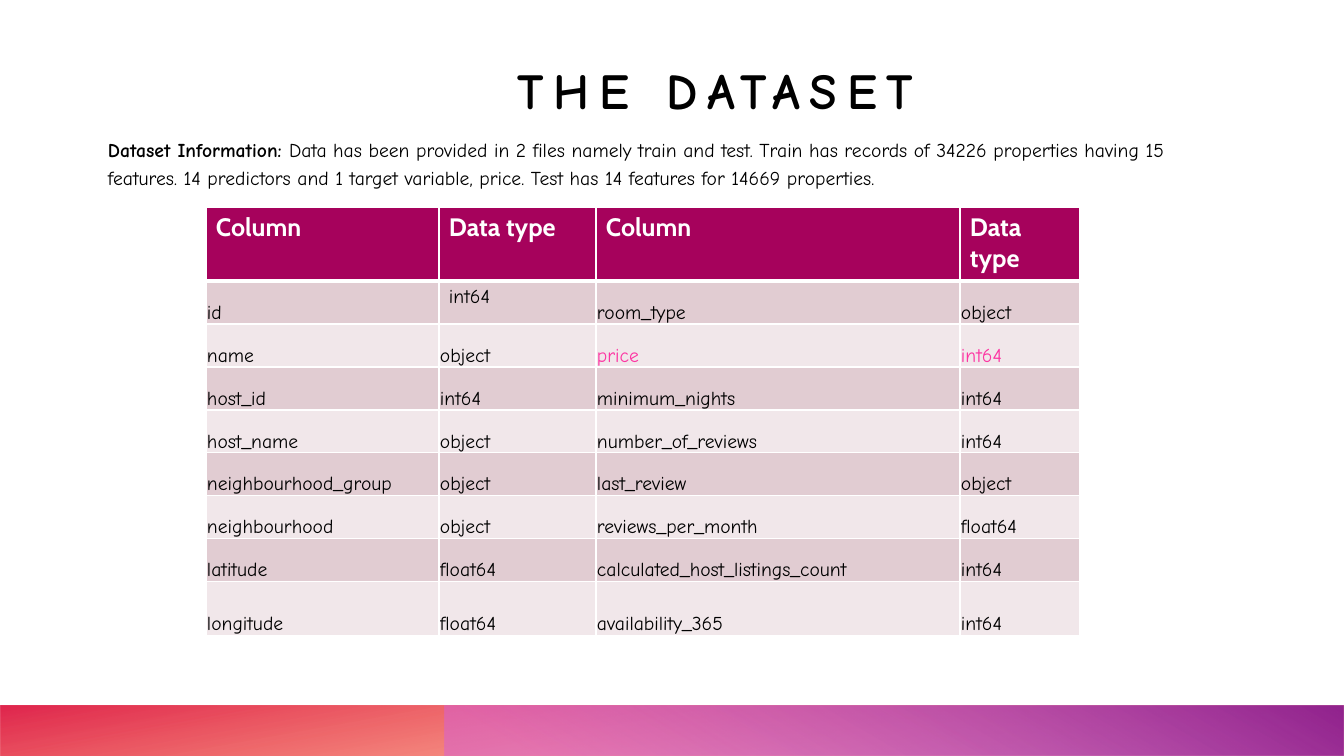
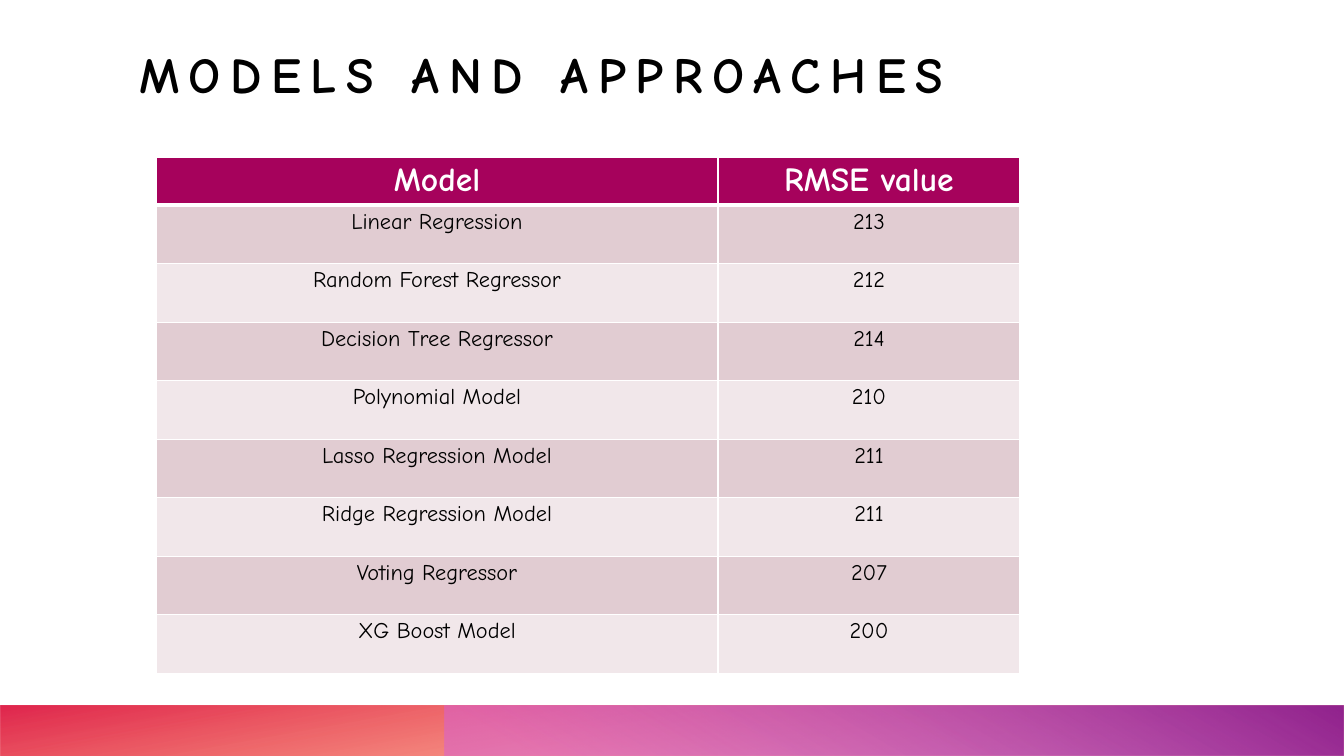
from lxml.etree import SubElement
from pptx import Presentation
from pptx.dml.color import RGBColor
from pptx.enum.shapes import MSO_SHAPE
from pptx.enum.text import MSO_ANCHOR, PP_ALIGN
from pptx.oxml.ns import qn
from pptx.util import Emu, Pt

PX = 914400 / 100.8
WIDTH, HEIGHT = 1344, 756
BAND_TOP, BAND_HEIGHT = 706, 50

BLACK, WHITE, MAGENTA = "000000", "FFFFFF", "A6025C"
STRIPES = ("E1CCD2", "F1E7EA")
HAND, SANS = "Comic Neue", "Cabin"


def px(length):
    return Emu(round(length * PX))


def rgb(color):
    return RGBColor.from_string(color)


def apply(target, values):
    for name, value in values.items():
        setattr(target, name, value)


def lettering(name, size, bold=False):
    return {"name": name, "size": Pt(size), "bold": bold}


def insets(left, top, right, bottom):
    return {
        "margin_left": px(left),
        "margin_top": px(top),
        "margin_right": px(right),
        "margin_bottom": px(bottom),
    }


def cell_style(font, color, margins, anchor=MSO_ANCHOR.TOP, align=PP_ALIGN.LEFT):
    return {
        "font": font,
        "color": color,
        "cell": {**margins, "vertical_anchor": anchor},
        "paragraph": {"alignment": align},
    }


class Deck:
    title_font = lettering(HAND, 36, True)
    frame = {**insets(0, 0, 0, 0), "word_wrap": True}

    def __init__(self):
        self.presentation = Presentation()
        apply(self.presentation, {"slide_width": px(WIDTH), "slide_height": px(HEIGHT)})
        self.slide = None

    def new_slide(self):
        blank = self.presentation.slide_layouts[6]
        self.slide = self.presentation.slides.add_slide(blank)
        self.band(0, 180, 100, ((14, "FE4A00", 28), (100, "DA002F", 85)))
        self.band(445, 0, 240, ((9, "D861D4", 55), (99, "92248E", 100)))

    def band(self, left, rotation, angle, stops):
        band = self.slide.shapes.add_shape(
            MSO_SHAPE.RECTANGLE, px(left), px(BAND_TOP), px(WIDTH - left), px(BAND_HEIGHT)
        )
        band.shadow.inherit = False
        band.line.fill.background()
        band.rotation = rotation
        band._element.spPr.find(qn("a:xfrm")).set("flipH", "1")
        band.fill.gradient()
        band.fill.gradient_angle = 360 - angle
        for stop, (position, color, _) in zip(band.fill.gradient_stops, stops):
            stop.position = position / 100
            stop.color.rgb = rgb(color)
        colors = band._element.spPr.iter(qn("a:srgbClr"))
        for tint, (_, _, opacity) in zip(list(colors), stops):
            SubElement(tint, qn("a:alpha"), val=str(opacity * 1000))

    def run(self, paragraph, text, font, color=BLACK):
        run = paragraph.add_run()
        run.text = text
        apply(run.font, font)
        run.font.color.rgb = rgb(color)
        return run

    def paragraph(self, area, anchor, values):
        box = self.slide.shapes.add_textbox(*map(px, area))
        apply(box.text_frame, {**self.frame, "vertical_anchor": anchor})
        paragraph = box.text_frame.paragraphs[0]
        apply(paragraph, values)
        return paragraph

    def title(self, text, area, align=PP_ALIGN.LEFT):
        paragraph = self.paragraph(area, MSO_ANCHOR.BOTTOM, {"alignment": align})
        run = self.run(paragraph, text, self.title_font)
        run.font._element.set("spc", "700")

    def body(self, lead, text, area):
        spacing = {"line_spacing": 1.2, "space_before": Pt(10)}
        paragraph = self.paragraph(area, MSO_ANCHOR.TOP, spacing)
        self.run(paragraph, lead, lettering(HAND, 14, True))
        self.run(paragraph, text, lettering(HAND, 14))

    def borders(self, cell, row):
        widths = {"L": 1, "R": 1, "T": 3 if row == 1 else 1, "B": 3 if row == 0 else 1}
        properties = cell._tc.get_or_add_tcPr()
        for side, points in widths.items():
            edge = SubElement(properties, qn(f"a:ln{side}"), w=str(Pt(points)))
            fill = SubElement(edge, qn("a:solidFill"))
            SubElement(fill, qn("a:srgbClr"), val=WHITE)

    def table(self, left, top, widths, heights, rows, head, plain, special=None):
        special = special or {}
        area = (left, top, sum(widths), sum(heights))
        table = self.slide.shapes.add_table(len(rows), len(widths), *map(px, area)).table
        table.horz_banding = False
        for column, width in zip(table.columns, widths):
            column.width = px(width)
        for line, height in zip(table.rows, heights):
            line.height = px(height)
        for r, texts in enumerate(rows):
            fill = STRIPES[(r - 1) % 2] if r else MAGENTA
            for c, text in enumerate(texts):
                style = special.get((r, c), plain if r else head)
                self.cell(table.cell(r, c), r, text, fill, style)

    def cell(self, cell, row, text, fill, style):
        self.borders(cell, row)
        cell.fill.solid()
        cell.fill.fore_color.rgb = rgb(fill)
        apply(cell, style["cell"])
        paragraph = cell.text_frame.paragraphs[0]
        apply(paragraph, style["paragraph"])
        self.run(paragraph, text, style["font"], style["color"])


COLUMNS = [
    ("Column", "Data type", "Column", "Data type"),
    ("id", "int64", "room_type", "object"),
    ("name", "object", "price", "int64"),
    ("host_id", "int64", "minimum_nights", "int64"),
    ("host_name", "object", "number_of_reviews", "int64"),
    ("neighbourhood_group", "object", "last_review", "object"),
    ("neighbourhood", "object", "reviews_per_month", "float64"),
    ("latitude", "float64", "calculated_host_listings_count", "int64"),
    ("longitude", "float64", "availability_365", "int64"),
]

MODELS = [
    ("Model", "RMSE value"),
    ("Linear Regression", "213"),
    ("Random Forest Regressor", "212"),
    ("Decision Tree Regressor", "214"),
    ("Polynomial Model", "210"),
    ("Lasso Regression Model", "211"),
    ("Ridge Regression Model", "211"),
    ("Voting Regressor", "207"),
    ("XG Boost Model", "200"),
]


def dataset_slide(deck):
    deck.new_slide()
    deck.title("THE DATASET", (151, 53, 1129, 67), PP_ALIGN.CENTER)
    deck.body(
        "Dataset Information: ",
        "Data has been provided in 2 files namely train and test. Train has records of "
        "34226 properties having 15 features. 14 predictors and 1 target variable, price. "
        "Test has 14 features for 14669 properties.",
        (108, 133, 1129, 67),
    )
    roomy, tight = insets(10, 5, 10, 5), insets(1, 1, 1, 0)
    text = lettering(HAND, 14)
    target = cell_style(text, "FD34A2", tight, MSO_ANCHOR.BOTTOM)
    deck.table(
        206, 207, (233, 157, 364, 120), [74] + [43] * 7 + [54], COLUMNS,
        head=cell_style(lettering(SANS, 18, True), WHITE, roomy),
        plain=cell_style(text, BLACK, tight, MSO_ANCHOR.BOTTOM),
        special={(1, 1): cell_style(text, BLACK, roomy), (2, 2): target, (2, 3): target},
    )


def models_slide(deck):
    deck.new_slide()
    deck.title("MODELS AND APPROACHES", (139, 22, 922, 82))
    margins = insets(7, 4, 7, 4)
    centred = {"margins": margins, "align": PP_ALIGN.CENTER}
    deck.table(
        156, 157, (562, 302), [48] + [58, 59] * 4, MODELS,
        head=cell_style(lettering(HAND, 24, True), WHITE, **centred),
        plain=cell_style(lettering(HAND, 16), BLACK, **centred),
    )


def main():
    deck = Deck()
    dataset_slide(deck)
    models_slide(deck)
    deck.presentation.save("out.pptx")


if __name__ == "__main__":
    main()
